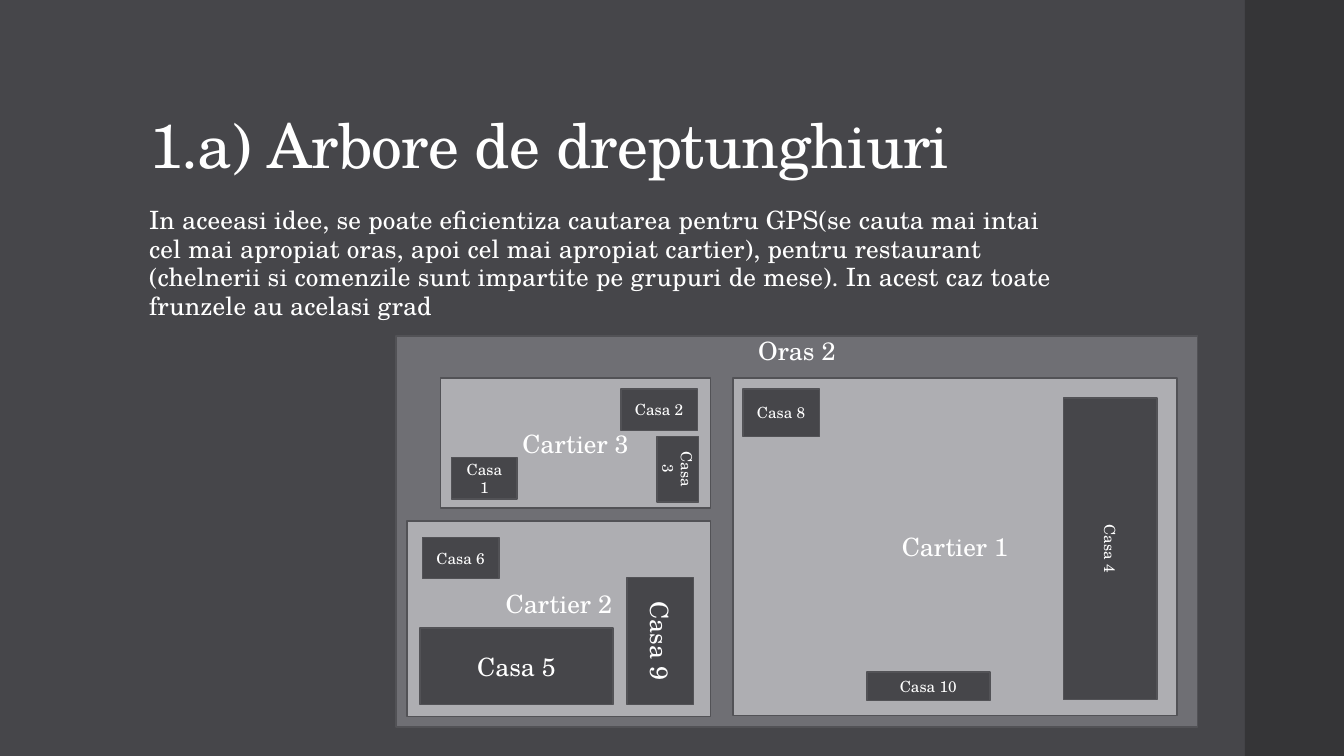
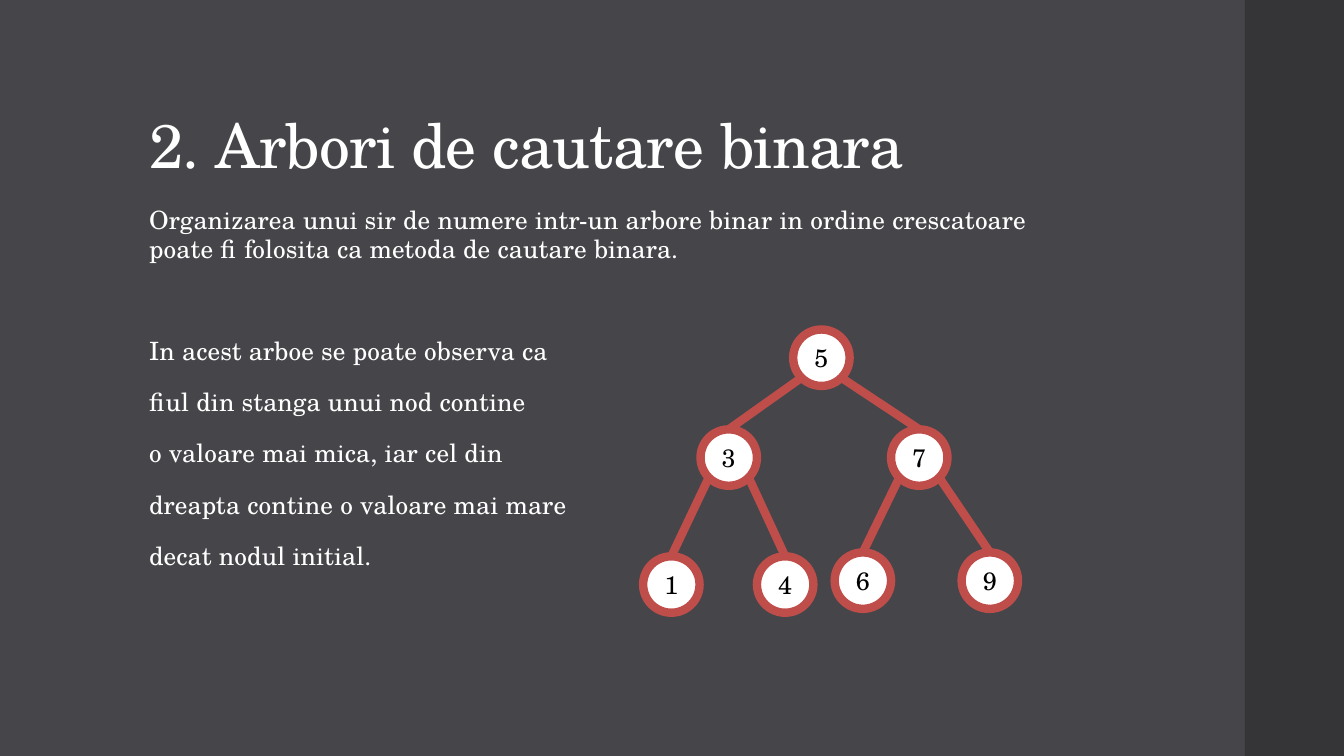
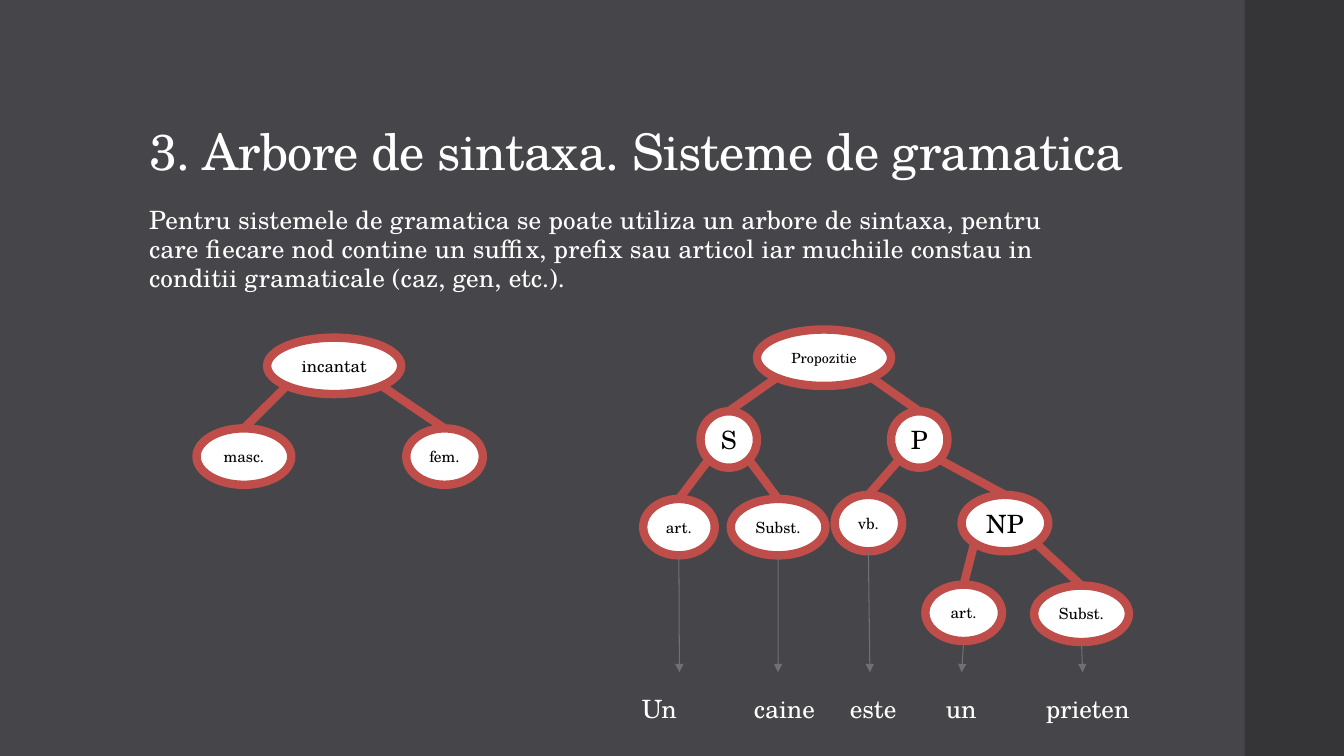
from math import sqrt

from lxml import etree
from pptx import Presentation
from pptx.dml.color import RGBColor
from pptx.enum import shapes, text
from pptx.oxml.ns import qn
from pptx.util import Pt

FONT = "TeX Gyre Schola"
BACK = RGBColor(0x46, 0x46, 0x4A)
BAND = RGBColor(0x35, 0x35, 0x37)
GRAY = RGBColor(0x6F, 0x6F, 0x74)
PALE = RGBColor(0xAE, 0xAE, 0xB2)
EDGE = RGBColor(0x52, 0x52, 0x56)
RED = RGBColor(0xBF, 0x4D, 0x4A)
WHITE = RGBColor(0xFF, 0xFF, 0xFF)
BLACK = RGBColor(0, 0, 0)

RECT = shapes.MSO_SHAPE.RECTANGLE
OVAL = shapes.MSO_SHAPE.OVAL
TALL = 40.3  # height of every tree node

# District boxes: label, left, top, width, height, bottom inset
ZONES = [
    ("Cartier 1", 523.4, 270, 317.5, 241.2, 3.6),
    ("Cartier 2", 290.9, 372.2, 216.7, 139.7, 25.2),
    ("Cartier 3", 314.6, 270, 193, 92.9, 3.6),
]
# House boxes: label, left, top, width, height, size, turn
HOMES = [
    ("Casa 1", 322.6, 326.9, 46.8, 29.5, 11, 0),
    ("Casa 2", 443.5, 277.9, 54.7, 29.5, 11, 0),
    ("Casa 3", 460.8, 320.4, 46.8, 29.5, 11, 90),
    ("Casa 6", 301.7, 383.8, 54.7, 29.5, 11, 0),
    ("Casa 9", 426.2, 434.2, 90.7, 47.5, 18, 90),
    ("Casa 5", 300.2, 448.6, 137.5, 54.7, 18, 0),
    ("Casa 8", 530.6, 277.9, 54.7, 33.8, 11, 0),
    ("Casa 4", 685.4, 358.6, 215.3, 67, 11, 90),
    ("Casa 10", 619.2, 480.2, 87.8, 20.2, 11, 0),
]
# Tree nodes: label, left, top, width, size, children
SEARCH = ("5", 566.6, 235.4, TALL, 18, [
    ("3", 500.4, 306.7, TALL, 18, [
        ("1", 459.4, 397.4, TALL, 18, []),
        ("4", 540.7, 397.4, TALL, 18, [])]),
    ("7", 636.5, 306.7, TALL, 18, [
        ("6", 596.2, 394.6, TALL, 18, []),
        ("9", 686.9, 394.6, TALL, 18, [])]),
])
SYNTAX = ("Propozitie", 540.7, 235.4, 95.8, 10, [
    ("S", 500.4, 293.8, TALL, 18, [
        ("art.", 459.4, 356.4, 51.1, 11, []),
        ("Subst.", 522, 356.4, 67.7, 11, [])]),
    ("P", 636.5, 293.8, TALL, 18, [
        ("vb.", 596.2, 353.5, 48.2, 11, []),
        ("NP", 686.9, 353.5, 61.9, 18, [
            ("art.", 661, 417.6, 54.7, 11, []),
            ("Subst.", 738.7, 418.3, 67.7, 11, [])])]),
])
GENDER = ("incantat", 190.8, 241.2, 95.8, 12, [
    ("masc.", 140.4, 306, 67.7, 11, []),
    ("fem.", 290.2, 306, 54.7, 11, []),
])
TIPS = [485.3, 555.8, 621.4, 686.9, 773.3]
WORDS = ["Un", "caine", "este", "un", "prieten"]
TABS = [80, 148.6, 217.1, 288.6]


def style(para, size, color=WHITE, track=0):
    """Set the font of a paragraph; track is in points."""
    font = para.font
    font.name, font.size = FONT, Pt(size)
    font.color.rgb = color
    if track:
        font._rPr.set("spc", str(round(track * 100)))


def shape(slide, kind, box, fill, line=None, width=1.1):
    item = slide.shapes.add_shape(kind, *map(Pt, box))
    item.shadow.inherit = False
    item.fill.solid()
    item.fill.fore_color.rgb = fill
    if line is None:
        item.line.fill.background()
    else:
        item.line.color.rgb = line
        item.line.width = Pt(width)
    return item


def label(item, words, size, color=WHITE):
    para = item.text_frame.paragraphs[0]
    para.text = words
    para.alignment = text.PP_ALIGN.CENTER
    style(para, size, color)


def block(slide, box, lines, size, track=0, space=None):
    """Add a wrapped text box and return its frame."""
    frame = slide.shapes.add_textbox(*map(Pt, box)).text_frame
    frame.word_wrap = True
    for i, words in enumerate(lines):
        para = frame.paragraphs[0] if i == 0 else frame.add_paragraph()
        para.text = words
        style(para, size, WHITE, track)
        if space:
            para.line_spacing = space
    return frame


def link(slide, start, end, color, width, arrow=False):
    line = slide.shapes.add_connector(
        shapes.MSO_CONNECTOR.STRAIGHT, *map(Pt, start + end))
    line.line.color.rgb = color
    line.line.width = Pt(width)
    if arrow:
        etree.SubElement(line.line._get_or_add_ln(), qn("a:tailEnd"),
                         type="triangle")
    etree.SubElement(line._element.spPr, qn("a:effectLst"))


def tree(slide, node):
    """Draw a node with its children; return the bottom points of the leaves."""
    words, left, top, width, size, kids = node
    oval = shape(slide, OVAL, (left, top, width, TALL), WHITE, RED, 6)
    label(oval, words, size, BLACK)
    mid = left + width / 2
    if not kids:
        return [(mid, top + TALL)]
    leaves = []
    for kid in kids:
        leaves += tree(slide, kid)
        goal = kid[1] + kid[3] / 2
        side = 1 if goal > mid else -1
        start = (mid + side * width / sqrt(8),
                 top + TALL / 2 + TALL / sqrt(8))
        link(slide, start, (goal, kid[2]), RED, 6)
    return leaves


def page(prs, title, lines, height, size=44):
    """Add a slide with side band, title and body; return slide and body."""
    slide = prs.slides.add_slide(prs.slide_layouts[6])
    shape(slide, RECT, (889.2, 0, 70.8, 540), BAND)
    head = block(slide, (99.4, 28.8, 763.2, 104.4), [title], size, -0.5, 0.9)
    head.vertical_anchor = text.MSO_ANCHOR.BOTTOM
    body = block(slide, (99.4, 144, 676.8, height), lines, 18, 0.1, 0.95)
    for para in body.paragraphs:
        para.space_before, para.space_after = Pt(14), Pt(2)
    return slide, body


def city(prs):
    slide, _ = page(prs, "1.a) Arbore de dreptunghiuri", [
        "In aceeasi idee, se poate eficientiza cautarea pentru GPS(se cauta "
        "mai intai cel mai apropiat oras, apoi cel mai apropiat cartier), "
        "pentru restaurant (chelnerii si comenzile sunt impartite pe grupuri "
        "de mese). In acest caz toate frunzele au acelasi grad"], 103)
    town = shape(slide, RECT, (283, 239.8, 572.4, 279.4), GRAY, EDGE)
    label(town, "Oras 2", 18)
    town.text_frame.vertical_anchor = text.MSO_ANCHOR.TOP
    town.text_frame.margin_top = 0
    for words, *box, inset in ZONES:
        zone = shape(slide, RECT, box, PALE, EDGE)
        label(zone, words, 18)
        zone.text_frame.margin_bottom = Pt(inset)
    for words, *box, size, turn in HOMES:
        home = shape(slide, RECT, box, BACK, EDGE)
        label(home, words, size)
        home.rotation = turn


def search(prs):
    slide, body = page(prs, "2. Arbori de cautare binara", [
        "Organizarea unui sir de numere intr-un arbore binar in ordine "
        "crescatoare poate fi folosita ca metoda de cautare binara.",
        "In acest arboe se poate observa ca",
        "fiul din stanga unui nod contine",
        "o valoare mai mica, iar cel din",
        "dreapta contine o valoare mai mare",
        "decat nodul initial."], 332.6)
    body.paragraphs[1].space_before = Pt(50.5)
    tree(slide, SEARCH)


def syntax(prs):
    slide, _ = page(prs, "3. Arbore de sintaxa. Sisteme de gramatica", [
        "Pentru sistemele de gramatica se poate utiliza un arbore de sintaxa, "
        "pentru care fiecare nod contine un suffix, prefix sau articol iar "
        "muchiile constau in conditii gramaticale (caz, gen, etc.)."], 73.4, 36)
    for start, tip in zip(tree(slide, SYNTAX), TIPS):
        link(slide, start, (tip, 480.2), GRAY, 0.75, arrow=True)
    tree(slide, GENDER)
    # Sentence words, aligned by tab stops
    row = block(slide, (451.4, 491.8, 378, 28.8), ["\t".join(WORDS)], 18)
    stops = etree.Element(qn("a:tabLst"))
    for stop in TABS:
        etree.SubElement(stops, qn("a:tab"), pos=str(Pt(stop)), algn="l")
    row.paragraphs[0]._p.get_or_add_pPr().insert(0, stops)


def main():
    prs = Presentation()
    prs.slide_width, prs.slide_height = Pt(960), Pt(540)
    fill = prs.slide_master.background.fill
    fill.solid()
    fill.fore_color.rgb = BACK
    city(prs)
    search(prs)
    syntax(prs)
    prs.save("out.pptx")


main()
